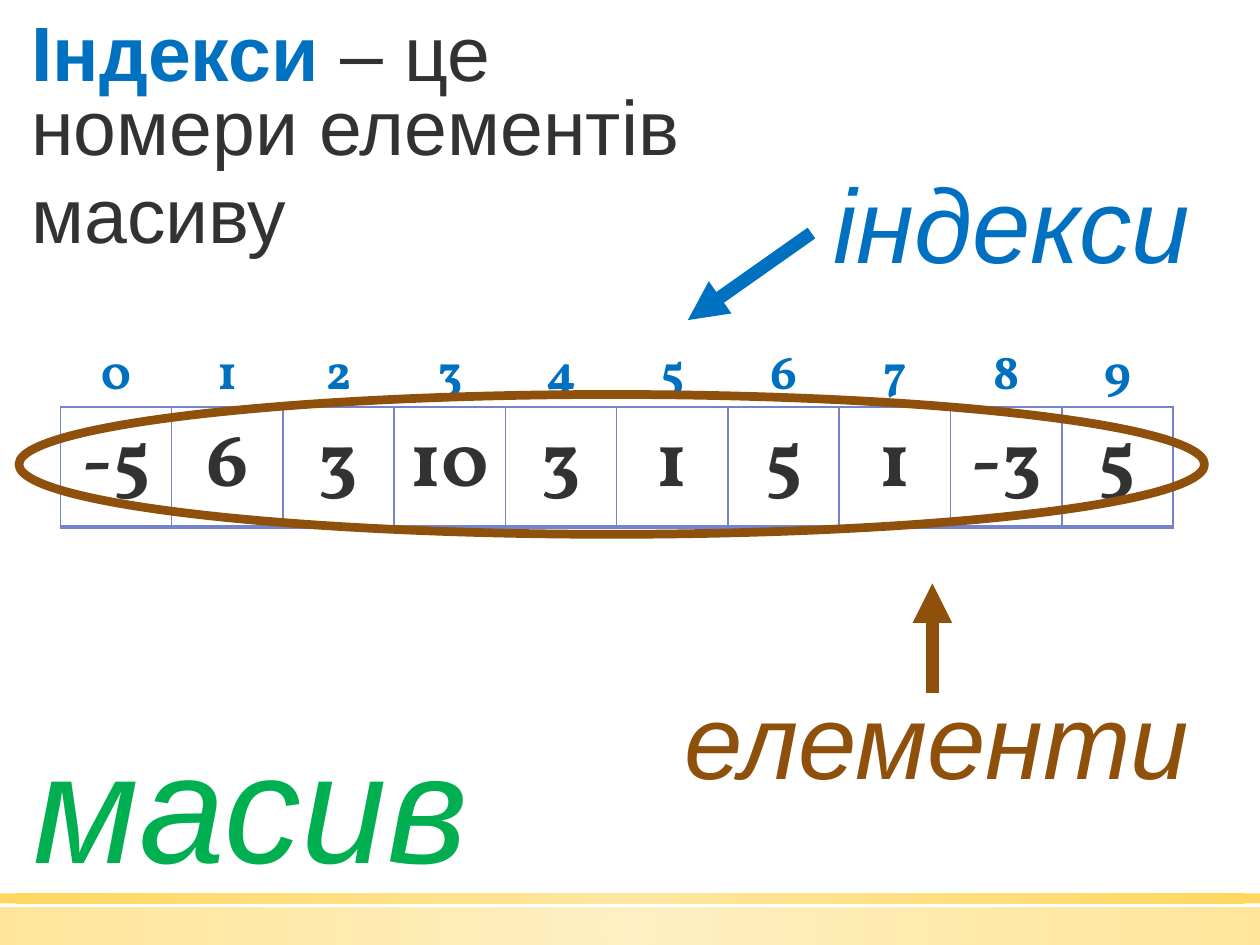
from dataclasses import dataclass
from typing import Any

from lxml.etree import SubElement
from pptx import Presentation
from pptx.dml.color import RGBColor
from pptx.enum.shapes import MSO_CONNECTOR, MSO_SHAPE
from pptx.enum.text import MSO_ANCHOR, MSO_AUTO_SIZE, PP_ALIGN
from pptx.oxml import parse_xml
from pptx.oxml.ns import nsdecls, qn
from pptx.util import Pt

BLUE, BROWN, GREEN, DARK, RULE = "0070C0", "8E500A", "00B050", "323232", "7384CA"


@dataclass
class Box:
    left: float
    top: float
    width: float
    height: float

    def lengths(self) -> tuple:
        return Pt(self.left), Pt(self.top), Pt(self.width), Pt(self.height)


@dataclass
class Label:
    text: str
    box: Box
    size: float
    color: str


@dataclass
class Arrow:
    start: tuple[float, float]
    end: tuple[float, float]
    color: str


@dataclass
class Row:
    values: list
    box: Box
    size: float
    color: str
    borders: dict[str, float]


@dataclass
class Band:
    box: Box
    opacity: int


def rgb(color: str) -> RGBColor:
    return RGBColor.from_string(color)


def add_span(para: Any, text: str, color: str, **formats: Any) -> None:
    span = para.add_run()
    span.text = text
    span.font.color.rgb = rgb(color)
    for name, value in formats.items():
        setattr(span.font, name, value)


def draw_band(page: Any, band: Band) -> None:
    shape = page.shapes.add_shape(MSO_SHAPE.RECTANGLE, *band.box.lengths())
    shape.shadow.inherit = False
    shape.line.fill.background()
    shape.fill.gradient()
    stops = "".join(
        f'<a:gs pos="{position}"><a:srgbClr val="{color}">'
        f'<a:alpha val="{band.opacity * 1000}"/></a:srgbClr></a:gs>'
        for position, color in ((0, "FFE186"), (100000, "FFCD36")))
    properties = shape.element.spPr
    properties.replace(properties.find(qn("a:gradFill")), parse_xml(
        f'<a:gradFill {nsdecls("a")}><a:gsLst>{stops}</a:gsLst><a:path path="circle">'
        '<a:fillToRect l="50000" t="50000" r="50000" b="50000"/></a:path></a:gradFill>'))


def set_borders(cell: Any, borders: dict[str, float]) -> None:
    properties = cell._tc.get_or_add_tcPr()
    for index, side in enumerate("LRTB"):
        width = borders.get(side, 0)
        line = properties.makeelement(qn(f"a:ln{side}"), {"w": str(Pt(width))})
        properties.insert(index, line)
        if width:
            fill = SubElement(line, qn("a:solidFill"))
            SubElement(fill, qn("a:srgbClr"), val=RULE)
        else:
            SubElement(line, qn("a:noFill"))


def draw_row(page: Any, row: Row) -> None:
    table = page.shapes.add_table(1, len(row.values), *row.box.lengths()).table
    table.first_row = table.horz_banding = False
    for cell, value in zip(table.iter_cells(), row.values):
        cell.fill.background()
        set_borders(cell, row.borders)
        para = cell.text_frame.paragraphs[0]
        para.alignment = PP_ALIGN.CENTER
        add_span(para, str(value), row.color, size=Pt(row.size), name="Vollkorn", bold=True)


def draw_label(page: Any, label: Label) -> None:
    frame = page.shapes.add_textbox(*label.box.lengths()).text_frame
    frame.word_wrap = False
    frame.auto_size = MSO_AUTO_SIZE.SHAPE_TO_FIT_TEXT
    para = frame.paragraphs[0]
    para.alignment, para.line_spacing = PP_ALIGN.CENTER, 0.8
    add_span(para, label.text, label.color, size=Pt(label.size), name="Arial", italic=True)


def draw_arrow(page: Any, arrow: Arrow) -> None:
    ends = (Pt(value) for value in (*arrow.start, *arrow.end))
    connector = page.shapes.add_connector(MSO_CONNECTOR.STRAIGHT, *ends)
    connector.line.color.rgb = rgb(arrow.color)
    connector.line.width = Pt(7.5)
    SubElement(connector.line._get_or_add_ln(), qn("a:tailEnd"), type="triangle")
    SubElement(connector.element.spPr, qn("a:effectLst"))


def draw_title(page: Any, box: Box) -> None:
    title = page.shapes.title
    title.left, title.top, title.width, title.height = box.lengths()
    frame = title.text_frame
    frame.word_wrap = True
    frame.auto_size = MSO_AUTO_SIZE.NONE
    frame.vertical_anchor = MSO_ANCHOR.TOP
    para = frame.paragraphs[0]
    para.alignment, para.line_spacing = PP_ALIGN.LEFT, 0.8
    add_span(para, "Індекси ", BLUE, size=Pt(44), name="Arial", bold=True)
    add_span(para, "– це номери елементів масиву", DARK, size=Pt(44), name="Arial", bold=False)
    # The larger closing space sets the height of the last line
    add_span(para, " ", DARK, size=Pt(54), name="Arial", italic=True)


def draw_ring(page: Any, box: Box) -> None:
    ring = page.shapes.add_shape(MSO_SHAPE.OVAL, *box.lengths())
    ring.shadow.inherit = False
    ring.fill.background()
    ring.line.color.rgb = rgb(BROWN)
    ring.line.width = Pt(5)


BANDS = [Band(Box(0, 518.4, 720, 21.6), 50), Band(Box(0, 510.5, 720, 5.8), 80)]
ROWS = [
    Row([-5, 6, 3, 10, 3, 1, 5, 1, -3, 5], Box(34.5, 232.6, 636, 59.8), 44, DARK,
        {"L": 1, "R": 1, "T": 1, "B": 2}),
    Row(list(range(10)), Box(34.5, 192.2, 636, 41), 28, BLUE, {}),
]
LABELS = [
    Label("масив", Box(10.8, 422.6, 265, 92.9), 88, GREEN),
    Label("індекси", Box(468, 100.8, 220.3, 65.5), 60, BLUE),
    Label("елементи", Box(382.3, 396, 306, 65.5), 60, BROWN),
]
ARROWS = [
    Arrow((463.7, 133.2), (393.1, 182.9), BLUE),
    Arrow((532.8, 396), (532.8, 333.4), BROWN),
]


def main() -> None:
    deck = Presentation()
    deck.slide_width, deck.slide_height = Pt(720), Pt(540)
    page = deck.slides.add_slide(deck.slide_layouts[5])
    draw_title(page, Box(10.8, 9.4, 398.2, 144.7))
    # Footer bands
    for band in BANDS:
        draw_band(page, band)
    # Array elements and their indexes
    for row in ROWS:
        draw_row(page, row)
    # Captions, pointers and the ring around the elements
    for label in LABELS:
        draw_label(page, label)
    for arrow in ARROWS:
        draw_arrow(page, arrow)
    draw_ring(page, Box(10.8, 225.4, 677.5, 79.9))
    deck.save("out.pptx")


if __name__ == "__main__":
    main()
